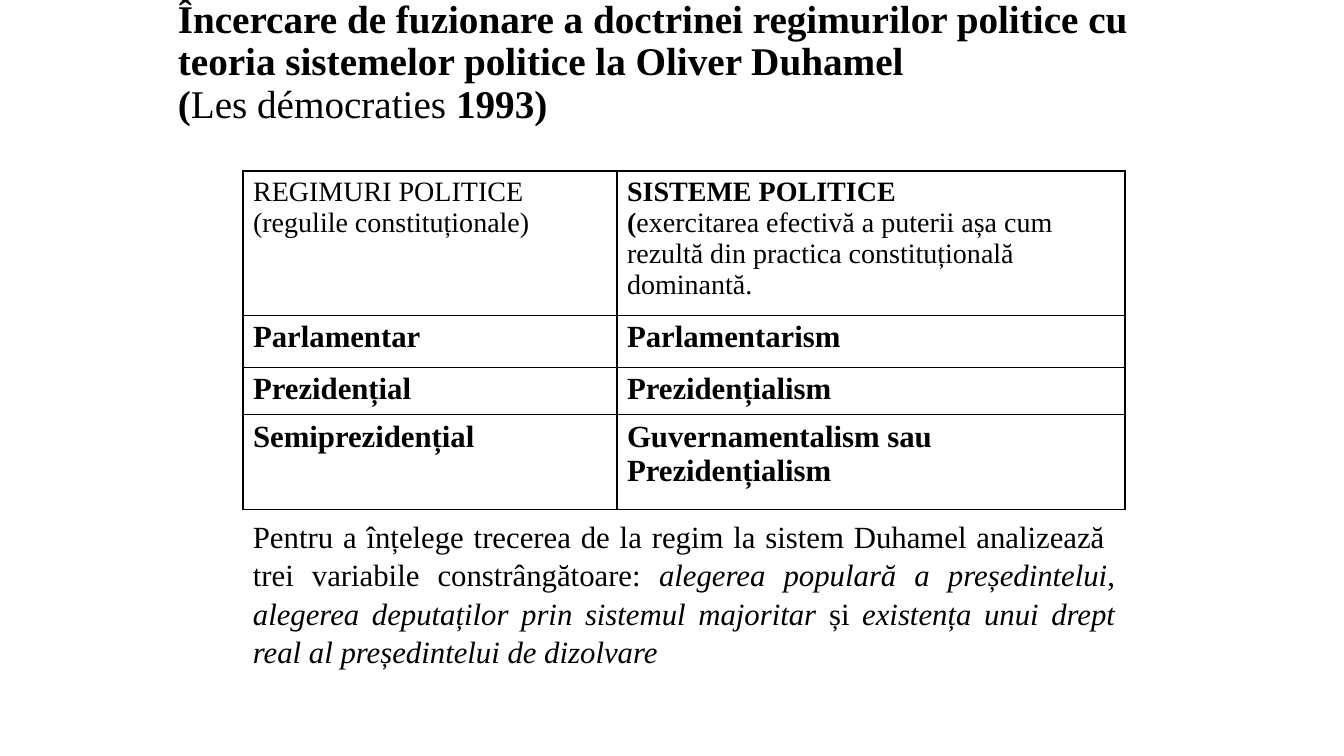
from dataclasses import dataclass
from lxml import etree
from pptx import Presentation, util as u
from pptx.dml.color import RGBColor
from pptx.enum import text
from pptx.oxml import ns


@dataclass
class Theme:
    ink: str = "000000"
    font: str = "Times New Roman"
    title: int = 28
    header: int = 20
    body: int = 22
    border: int = 1


theme = Theme()
SCALE = 914400 / 100.8


def px(n):
    return u.Emu(round(n * SCALE))


def write(tf, paragraphs, size, align=None, spacing=None, anchor=text.MSO_ANCHOR.TOP):
    tf.word_wrap = True
    tf.vertical_anchor = anchor
    for i, runs in enumerate(paragraphs):
        p = tf.add_paragraph() if i else tf.paragraphs[0]
        p.alignment = align
        p.line_spacing = spacing
        for words, style in runs:
            for j, line in enumerate(words.split("\n")):
                if j:
                    p.add_line_break()
                r = p.add_run()
                r.text = line
                r.font.name = theme.font
                r.font.size = u.Pt(size)
                r.font.bold = style == "b"
                r.font.italic = style == "i"
                r.font.color.rgb = RGBColor.from_string(theme.ink)


prs = Presentation()
prs.slide_width, prs.slide_height = px(1344), px(756)
s = prs.slides.add_slide(prs.slide_layouts[6])

title = [[
    ("Încercare de fuzionare a doctrinei regimurilor politice cu "
     "teoria sistemelor politice la Oliver Duhamel \n(", "b"),
    ("Les démocraties ", ""),
    ("1993)", "b"),
]]
sp = s.shapes.add_textbox(px(168), px(0), px(988), px(126))
write(sp.text_frame, title, theme.title, spacing=0.9, anchor=text.MSO_ANCHOR.MIDDLE)

header = [
    [[("REGIMURI POLITICE", "")], [("(regulile constituționale)", "")]],
    [[("SISTEME POLITICE", "b")],
     [("(", "b"), ("exercitarea efectivă a puterii așa cum rezultă din practica "
                   "constituțională dominantă.", "")]],
]
regimes = [
    ("Parlamentar", ["Parlamentarism"]),
    ("Prezidențial", ["Prezidențialism"]),
    ("Semiprezidențial", ["Guvernamentalism sau", "Prezidențialism"]),
]
rows = [header] + [
    [[[(regime, "b")]], [[(system, "b")] for system in systems]]
    for regime, systems in regimes
]
col_widths = [374, 508]
row_heights = [134, 52, 47, 95]

table = s.shapes.add_table(len(rows), len(col_widths), px(243), px(171),
                           px(sum(col_widths)), px(sum(row_heights))).table
table.first_row = table.horz_banding = False
for column, width in zip(table.columns, col_widths):
    column.width = px(width)
for i, (row, height) in enumerate(zip(rows, row_heights)):
    table.rows[i].height = px(height)
    for j, paragraphs in enumerate(row):
        cell = table.cell(i, j)
        write(cell.text_frame, paragraphs, theme.body if i else theme.header)
        tcPr = cell._tc.get_or_add_tcPr()
        for side in "LRTB":
            ln = etree.SubElement(tcPr, ns.qn(f"a:ln{side}"), w=str(u.Pt(theme.border)))
            fill = etree.SubElement(ln, ns.qn("a:solidFill"))
            etree.SubElement(fill, ns.qn("a:srgbClr"), val=theme.ink)
        cell.fill.background()

variables = [[
    ("Pentru a înțelege trecerea de la regim la sistem Duhamel analizează  "
     "trei variabile constrângătoare: ", ""),
    ("alegerea populară a președintelui", "i"),
    (", ", ""),
    ("alegerea deputaților prin sistemul majoritar ", "i"),
    ("și ", ""),
    ("existența unui drept real al președintelui de dizolvare", "i"),
]]
sp = s.shapes.add_textbox(px(243), px(511), px(882), px(159))
write(sp.text_frame, variables, theme.body, align=text.PP_ALIGN.JUSTIFY, spacing=1.04)

prs.save("out.pptx")
